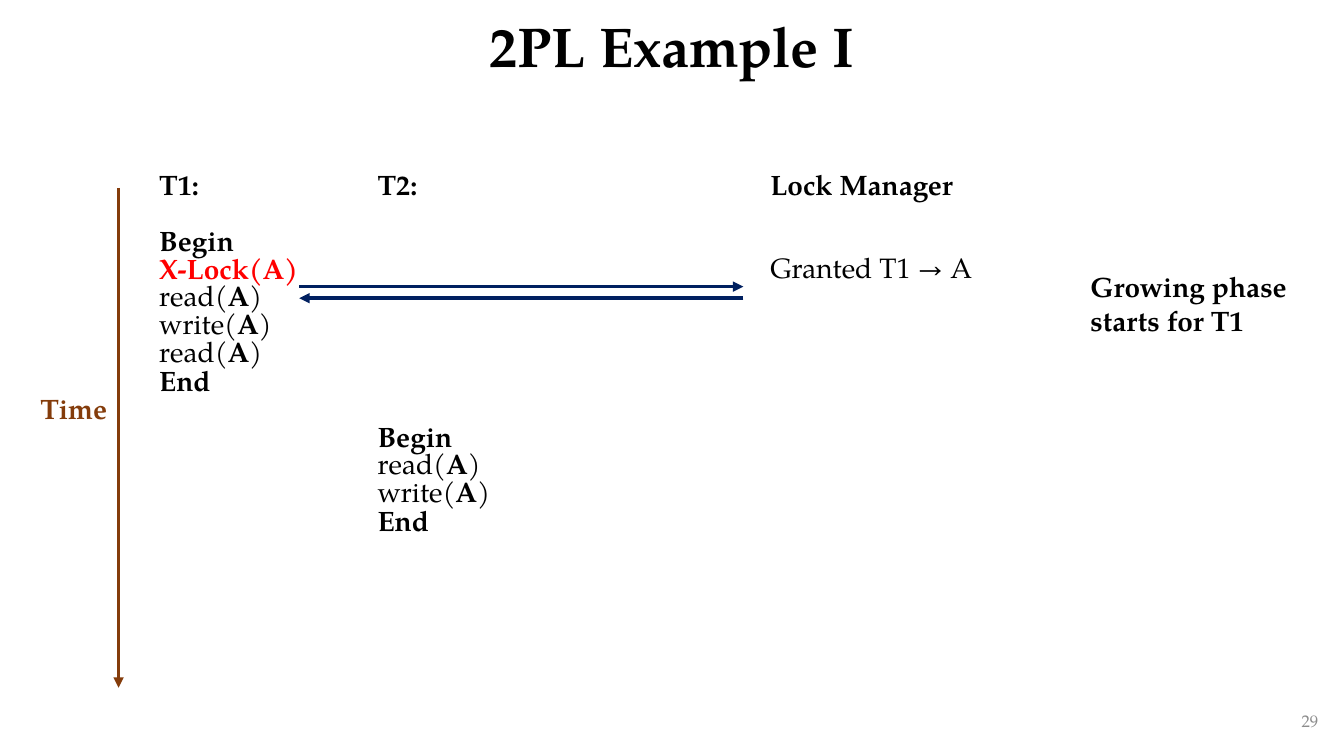
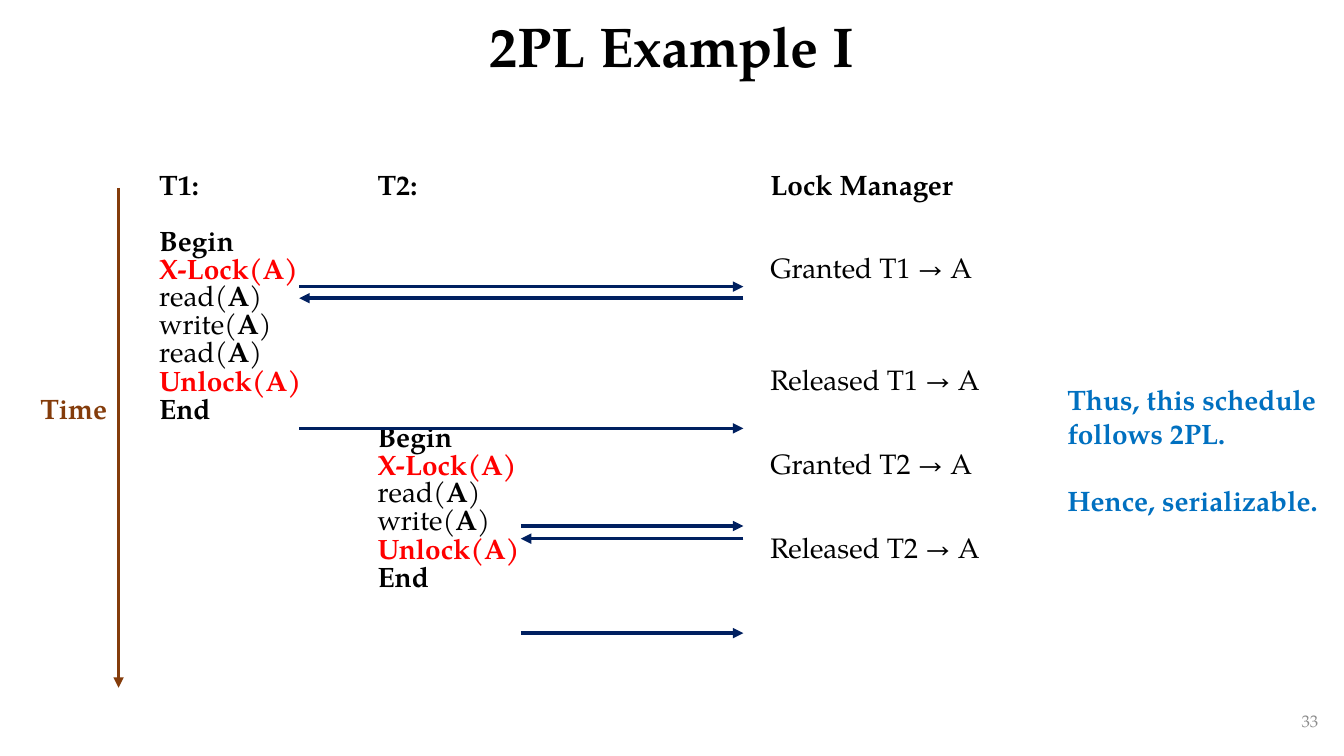
import dataclasses
import typing

import lxml.etree
import pptx
import pptx.dml.color
import pptx.enum.shapes
import pptx.enum.text
import pptx.oxml.ns
import pptx.util

PX = 9525
FONT = "TeX Gyre Pagella"
BODY_PT = 20
LINE_PT = 20
NOTE_GAP_PT = 24
TABLE_TOP = 165
ROW_HEIGHT = 323
LOCK_MANAGER_X = 708
T1_X, T2_X = 285, 496
COLORS = {
    "text": "000000",
    "lock": "FF0000",
    "time": "843C0B",
    "message": "002060",
    "result": "0070C0",
    "number": "8C8C8C",
}
ALIGN = pptx.enum.text.PP_ALIGN
ANCHOR = pptx.enum.text.MSO_ANCHOR


@dataclasses.dataclass(frozen=True)
class Line:
    text: str
    blanks: int = 0
    color: str = "text"


@dataclasses.dataclass(frozen=True)
class Message:
    start_x: int
    y: int
    reply: bool = False


@dataclasses.dataclass(frozen=True)
class Note:
    x: int
    y: int
    width: int
    height: int
    lines: list[str]
    color: str


@dataclasses.dataclass(frozen=True)
class Schedule:
    number: int
    t1: list[Line]
    t2: list[Line]
    manager: list[Line]
    messages: list[Message]
    note: Note


BEGIN_T1 = Line("|Begin|", 1)
BEGIN_T2 = Line("|Begin|", 8)
X_LOCK = Line("|X-Lock(A)|", color="lock")
UNLOCK = Line("|Unlock(A)|", color="lock")
READ = Line("read(|A|)")
WRITE = Line("write(|A|)")
END = Line("|End|")
HEAD_T1 = Line("|T1:|")
HEAD_T2 = Line("|T2:|")
HEAD_MANAGER = Line("|Lock Manager|")
GRANTED_T1 = Line("Granted T1 → A", 2)
T1_LOCKING = [Message(T1_X, 273), Message(T1_X, 284, True)]

SCHEDULES = [
    Schedule(
        29,
        [HEAD_T1, BEGIN_T1, X_LOCK, READ, WRITE, READ, END],
        [HEAD_T2, BEGIN_T2, READ, WRITE, END],
        [HEAD_MANAGER, GRANTED_T1],
        T1_LOCKING,
        Note(1029, 252, 219, 74, ["Growing phase starts for T1"], "text"),
    ),
    Schedule(
        33,
        [HEAD_T1, BEGIN_T1, X_LOCK, READ, WRITE, READ, UNLOCK, END],
        [HEAD_T2, BEGIN_T2, X_LOCK, READ, WRITE, UNLOCK, END],
        [
            HEAD_MANAGER,
            GRANTED_T1,
            Line("Released T1 → A", 3),
            Line("Granted T2 → A", 2),
            Line("Released T2 → A", 2),
        ],
        T1_LOCKING
        + [
            Message(T1_X, 408),
            Message(T2_X, 501),
            Message(T2_X, 513, True),
            Message(T2_X, 603),
        ],
        Note(
            1007, 360, 263, 139,
            ["Thus, this schedule follows 2PL.", "Hence, serializable."],
            "result",
        ),
    ),
]


def px(value: int) -> pptx.util.Emu:
    return pptx.util.Emu(value * PX)


def rgb(color: str) -> pptx.dml.color.RGBColor:
    return pptx.dml.color.RGBColor.from_string(COLORS[color])


def style(p: typing.Any, color: str, size: int = BODY_PT, bold: bool = True) -> None:
    p.font.name = FONT
    p.font.size = pptx.util.Pt(size)
    p.font.bold = bold
    p.font.color.rgb = rgb(color)


def add_text(
    shapes: typing.Any,
    box: tuple[int, int, int, int],
    lines: list[str],
    color: str,
    size: int = BODY_PT,
    bold: bool = True,
    align: typing.Any = ALIGN.LEFT,
    anchor: typing.Any = ANCHOR.TOP,
    wrap: bool = True,
) -> typing.Any:
    tf = shapes.add_textbox(*map(px, box)).text_frame
    tf.word_wrap = wrap
    tf.vertical_anchor = anchor
    for i, text in enumerate(lines):
        p = tf.add_paragraph() if i else tf.paragraphs[0]
        p.alignment = align
        if i:
            p.space_before = pptx.util.Pt(NOTE_GAP_PT)
        p.add_run().text = text
        style(p, color, size, bold)
    return tf


def add_arrow(
    shapes: typing.Any, start: tuple[int, int], end: tuple[int, int], color: str
) -> None:
    sp = shapes.add_connector(
        pptx.enum.shapes.MSO_CONNECTOR.STRAIGHT, *map(px, start + end)
    )
    sp.line.color.rgb = rgb(color)
    sp.line.width = pptx.util.Pt(2.5)
    qn = pptx.oxml.ns.qn
    tail = lxml.etree.SubElement(sp.line._get_or_add_ln(), qn("a:tailEnd"))
    tail.set("type", "triangle")
    lxml.etree.SubElement(sp._element.spPr, qn("a:effectLst"))


def fill_cell(cell: typing.Any, lines: list[Line]) -> None:
    cell.fill.background()
    cell.margin_top = px(1)
    tf = cell.text_frame
    for i, line in enumerate(lines):
        p = tf.add_paragraph() if i else tf.paragraphs[0]
        p.line_spacing = pptx.util.Pt(LINE_PT)
        if line.blanks:
            p.space_before = pptx.util.Pt(line.blanks * LINE_PT)
        pieces = line.text.split("|")
        all_bold = not any(pieces[::2])
        style(p, line.color, bold=all_bold)
        for j, piece in enumerate(pieces):
            if piece:
                r = p.add_run()
                r.text = piece
                if j % 2 and not all_bold:
                    r.font.bold = True


def add_columns(
    shapes: typing.Any, x: int, widths: list[int], columns: list[list[Line]]
) -> None:
    table = shapes.add_table(
        1, len(widths), px(x), px(TABLE_TOP), px(sum(widths)), px(ROW_HEIGHT)
    ).table
    table.first_row = False
    table.horz_banding = False
    for i, (width, lines) in enumerate(zip(widths, columns)):
        table.columns[i].width = px(width)
        fill_cell(table.cell(0, i), lines)


def add_time_axis(shapes: typing.Any) -> None:
    group = shapes.add_group_shape()
    add_arrow(group.shapes, (113, 179), (113, 655), "time")
    add_text(group.shapes, (29, 368, 85, 42), ["Time"], "time", wrap=False)


def add_schedule(prs: typing.Any, schedule: Schedule) -> None:
    shapes = prs.slides.add_slide(prs.slide_layouts[6]).shapes
    add_text(
        shapes, (977, 667, 288, 38), [str(schedule.number)], "number",
        size=12, bold=False, align=ALIGN.RIGHT, anchor=ANCHOR.MIDDLE,
    )
    add_columns(shapes, 142, [208, 197], [schedule.t1, schedule.t2])
    add_time_axis(shapes)
    add_columns(shapes, 724, [263], [schedule.manager])
    for message in schedule.messages:
        ends = [(message.start_x, message.y), (LOCK_MANAGER_X, message.y)]
        if message.reply:
            ends.reverse()
        add_arrow(shapes, *ends, "message")
    note = schedule.note
    add_text(
        shapes, (note.x, note.y, note.width, note.height), note.lines, note.color
    )
    title = add_text(
        shapes, (88, 0, 1104, 95), ["2PL Example I"], "text",
        size=40, align=ALIGN.CENTER, anchor=ANCHOR.MIDDLE,
    )
    title.paragraphs[0].line_spacing = 0.9


def main() -> None:
    prs = pptx.Presentation()
    prs.slide_width, prs.slide_height = px(1280), px(720)
    for schedule in SCHEDULES:
        add_schedule(prs, schedule)
    prs.save("out.pptx")


if __name__ == "__main__":
    main()
